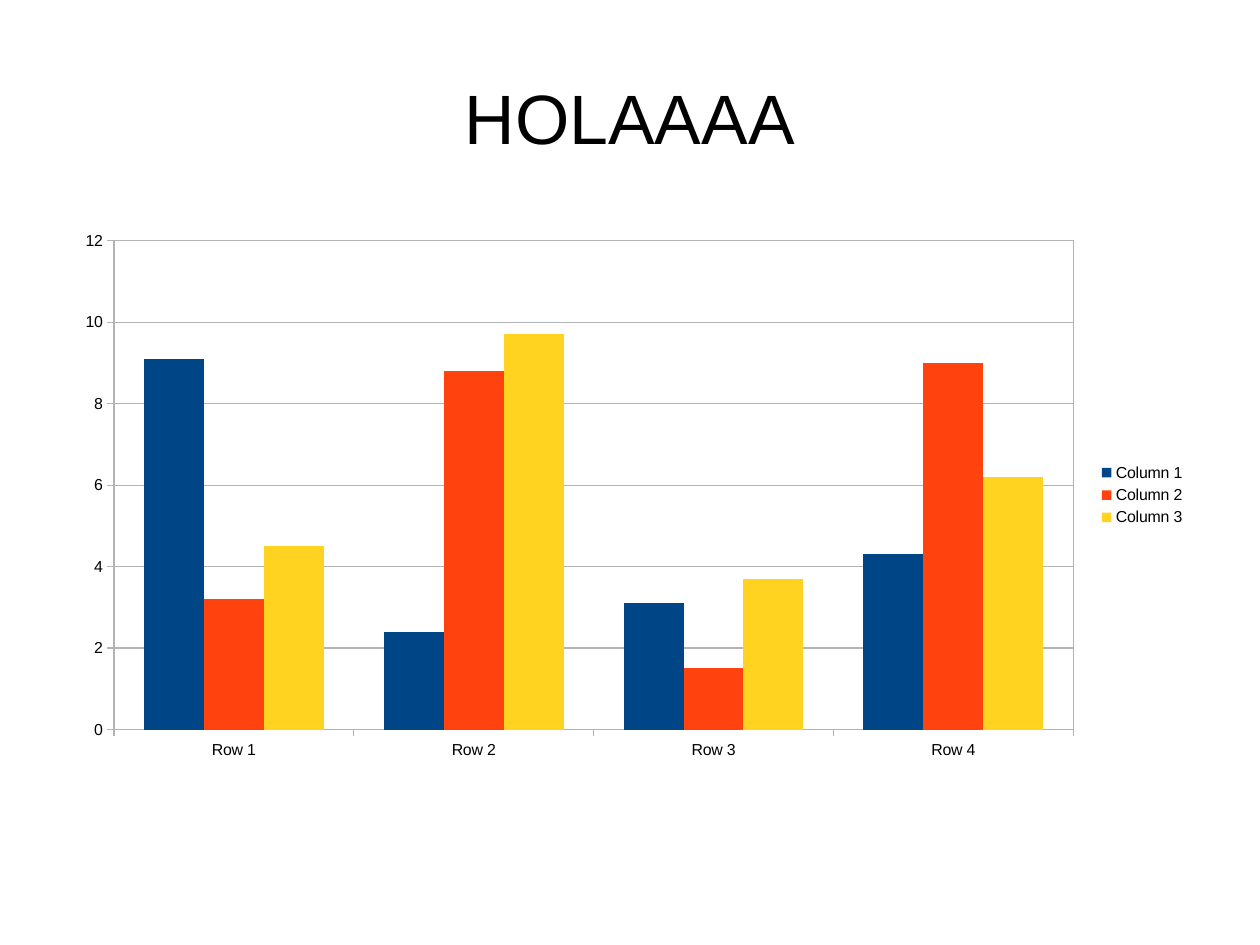
from lxml import etree
from pptx import Presentation
from pptx.chart.data import CategoryChartData
from pptx.dml.color import RGBColor
from pptx.enum.chart import XL_CHART_TYPE as CT, XL_LEGEND_POSITION as LP, XL_TICK_MARK as TM
from pptx.enum.text import MSO_ANCHOR, PP_ALIGN
from pptx.oxml import parse_xml
from pptx.oxml.ns import nsdecls, qn
from pptx.util import Pt

BLACK = RGBColor(0x00, 0x00, 0x00)
GRAY = RGBColor(0xB3, 0xB3, 0xB3)
BLUE = RGBColor(0x00, 0x45, 0x86)
ORANGE = RGBColor(0xFF, 0x42, 0x0E)
YELLOW = RGBColor(0xFF, 0xD3, 0x20)

LEFT, WIDTH = Pt(39.69), Pt(714.3)
SERIES = [
    ("Column 1", (9.1, 2.4, 3.1, 4.3), BLUE),
    ("Column 2", (3.2, 8.8, 1.5, 9), ORANGE),
    ("Column 3", (4.5, 9.7, 3.7, 6.2), YELLOW),
]


def set_font(font, size):
    for name, value in {"name": "Arial", "size": Pt(size), "bold": False}.items():
        setattr(font, name, value)
    font.color.rgb = BLACK


prs = Presentation()
prs.slide_width = Pt(793.7)
prs.slide_height = Pt(595.25)
s = prs.slides.add_slide(prs.slide_layouts[6])

tf = s.shapes.add_textbox(LEFT, Pt(23.73), WIDTH, Pt(99.38)).text_frame
frame_format = {
    "word_wrap": True,
    "vertical_anchor": MSO_ANCHOR.MIDDLE,
    "margin_left": 0,
    "margin_right": 0,
    "margin_top": 0,
    "margin_bottom": 0,
}
for name, value in frame_format.items():
    setattr(tf, name, value)
p = tf.paragraphs[0]
p.alignment = PP_ALIGN.CENTER
r = p.add_run()
r.text = "HOLAAAA"
set_font(r.font, 44)

data = CategoryChartData()
data.categories = [f"Row {n}" for n in range(1, 5)]
for name, values, _ in SERIES:
    data.add_series(name, values)
chart = s.shapes.add_chart(CT.COLUMN_CLUSTERED, LEFT, Pt(139.27), WIDTH, Pt(345.23), data).chart
chart.has_title = False
chart.has_legend = True
chart.legend.position = LP.RIGHT
chart.legend.include_in_layout = False
for font in (chart.font, chart.legend.font):
    set_font(font, 10)

plot = chart.plots[0]
for name, value in {"gap_width": 100, "overlap": 0, "vary_by_categories": False}.items():
    setattr(plot, name, value)
for ser, (_, _, color) in zip(plot.series, SERIES):
    ser.format.fill.solid()
    ser.format.fill.fore_color.rgb = color
    ser.invert_if_negative = False

val = chart.value_axis
val_format = {
    "minimum_scale": 0,
    "maximum_scale": 12,
    "major_unit": 2,
    "has_major_gridlines": True,
}
for name, value in val_format.items():
    setattr(val, name, value)
for axis in (chart.category_axis, val):
    axis.major_tick_mark = TM.OUTSIDE
    axis.minor_tick_mark = TM.NONE
    set_font(axis.tick_labels.font, 10)
for part in (chart.category_axis, val, val.major_gridlines):
    part.format.line.color.rgb = GRAY
    part.format.line.width = Pt(0)

area = chart.element.find(".//" + qn("c:plotArea"))
for old in area.findall(qn("c:layout")):
    area.remove(old)
layout = parse_xml(f"<c:layout {nsdecls('c')}><c:manualLayout/></c:layout>")
manual = layout[0]
plot_box = {
    "layoutTarget": "inner",
    "xMode": "edge",
    "yMode": "edge",
    "x": 0.045,
    "y": 0.036,
    "w": 0.846,
    "h": 0.892,
}
for name, value in plot_box.items():
    etree.SubElement(manual, qn(f"c:{name}")).set("val", str(value))
area.insert(0, layout)
area.append(parse_xml(
    f'<c:spPr {nsdecls("c", "a")}><a:noFill/><a:ln w="0"><a:solidFill>'
    f'<a:srgbClr val="{GRAY}"/></a:solidFill></a:ln></c:spPr>'
))

prs.save("out.pptx")
